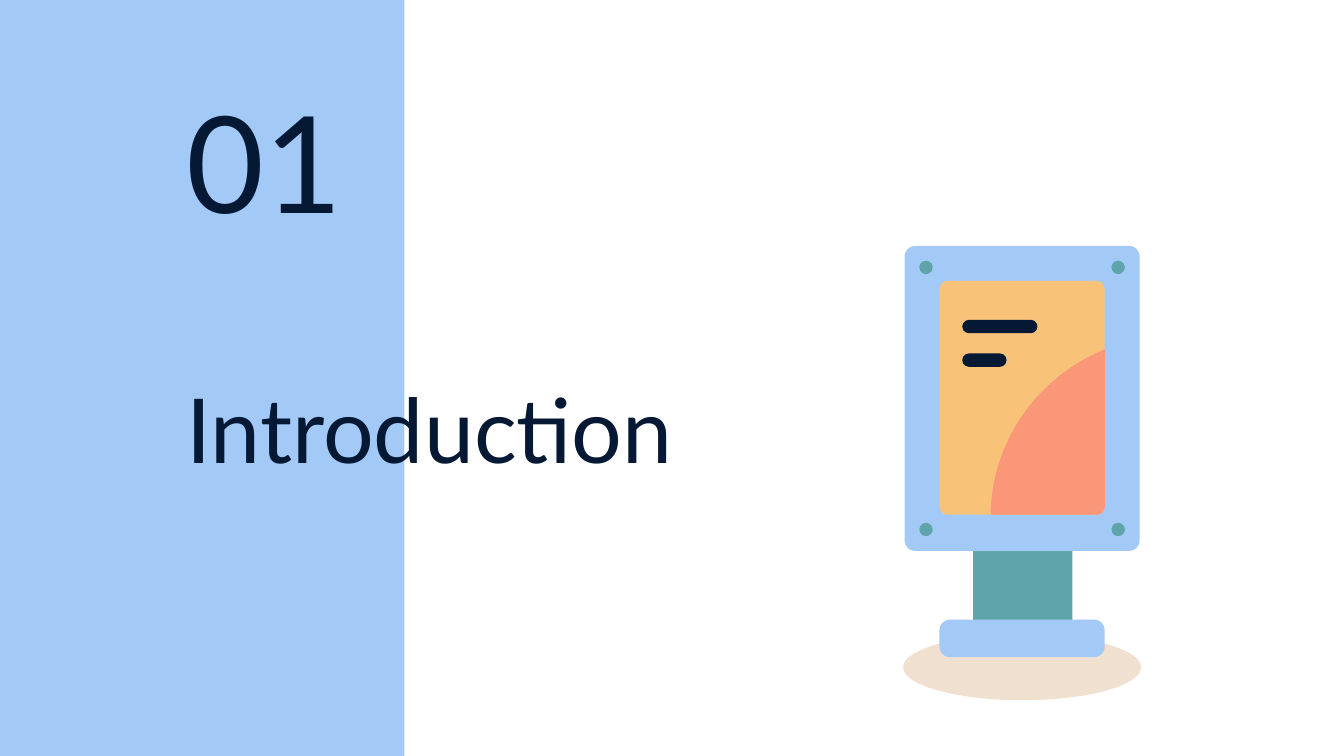
import pptx
import pptx.util
import pptx.dml.color
import pptx.enum.shapes
import pptx.enum.text
from lxml import etree

Inches = pptx.util.Inches
RGBColor = pptx.dml.color.RGBColor
SHAPE = pptx.enum.shapes.MSO_SHAPE
ANCHOR = pptx.enum.text.MSO_ANCHOR

BLUE = RGBColor(0xA3, 0xCA, 0xF7)
NAVY = RGBColor(0x05, 0x19, 0x34)
TEAL = RGBColor(0x5F, 0xA4, 0xAB)
AMBER = RGBColor(0xF8, 0xC3, 0x79)
CORAL = RGBColor(0xFA, 0x97, 0x78)
BROWN = RGBColor(0xB4, 0x5F, 0x06)

# text, box, size, anchor, line spacing
TEXTS = [
    ("Introduction", (1.29, 2.8, 4.24, 0.92), 48, ANCHOR.MIDDLE, 0.8),
    ("01", (1.29, 1.03, 2.75, 0.86), 72, ANCHOR.BOTTOM, 1.0),
]

# box, colour, corner radius
SIDE_PANEL = ((-0.02, -0.02, 3.03, 5.65), BLUE, 0)
SIGN_PARTS = [
    ((7.24, 3.9, 0.74, 0.76), TEAL, 0),
    ((6.73, 1.83, 1.75, 2.27), BLUE, 0.08),
    ((6.99, 2.09, 1.23, 1.74), AMBER, 0.06),
    ((6.99, 4.61, 1.23, 0.28), BLUE, 0.08),
    ((7.16, 2.38, 0.56, 0.1), NAVY, 0.05),
    ((7.16, 2.63, 0.33, 0.1), NAVY, 0.05),
]
GROUND_SHADOW = (6.72, 4.72, 1.77, 0.49)
GROUND_ALPHA = 19
SCREW_SIZE = 0.1
SCREW_LEFTS = (6.84, 8.27)
SCREW_TOPS = (1.94, 3.89)

# cubic curves that bound the coral area of the poster
POSTER_ARC = [(8.22, 2.6), (7.73, 2.8), (7.38, 3.27), (7.37, 3.83)]
POSTER_CORNER = [(8.16, 3.83), (8.19, 3.83), (8.22, 3.81), (8.22, 3.77)]


def paint(sp, color):
    sp.shadow.inherit = False
    sp.fill.solid()
    sp.fill.fore_color.rgb = color
    sp.line.fill.background()
    return sp


def add_block(slide, box, color, radius=0):
    kind = SHAPE.ROUNDED_RECTANGLE if radius else SHAPE.RECTANGLE
    sp = slide.shapes.add_shape(kind, *map(Inches, box))
    if radius:
        sp.adjustments[0] = radius / min(box[2:])
    return paint(sp, color)


def add_oval(slide, box, color):
    return paint(slide.shapes.add_shape(SHAPE.OVAL, *map(Inches, box)), color)


def set_alpha(sp, percent):
    ns = "http://schemas.openxmlformats.org/drawingml/2006/main"
    clr = sp.element.find(f".//{{{ns}}}solidFill/{{{ns}}}srgbClr")
    etree.SubElement(clr, f"{{{ns}}}alpha").set("val", str(percent * 1000))


def bezier(points, steps):
    """Return points along a cubic curve, in EMU."""
    curve = []
    for i in range(steps + 1):
        t = i / steps
        weights = ((1 - t) ** 3, 3 * t * (1 - t) ** 2, 3 * t * t * (1 - t), t ** 3)
        curve.append(tuple(Inches(sum(w * p[axis] for w, p in zip(weights, points)))
                           for axis in (0, 1)))
    return curve


def add_text(slide, text, box, size, anchor, spacing):
    tf = slide.shapes.add_textbox(*map(Inches, box)).text_frame
    tf.word_wrap = True
    tf.vertical_anchor = anchor
    tf.margin_left = tf.margin_right = tf.margin_top = tf.margin_bottom = Inches(0.1)
    p = tf.paragraphs[0]
    p.text = text
    p.line_spacing = spacing
    font = p.runs[0].font
    font.name = "Lato"
    font.size = pptx.util.Pt(size)
    font.color.rgb = NAVY


prs = pptx.Presentation()
prs.slide_width = Inches(10)
prs.slide_height = prs.slide_width * 9 // 16
slide = prs.slides.add_slide(prs.slide_layouts[6])

add_block(slide, *SIDE_PANEL)
set_alpha(add_oval(slide, GROUND_SHADOW, BROWN), GROUND_ALPHA)
for item in TEXTS:
    add_text(slide, *item)

for part in SIGN_PARTS:
    add_block(slide, *part)
for left in SCREW_LEFTS:
    for top in SCREW_TOPS:
        add_oval(slide, (left, top, SCREW_SIZE, SCREW_SIZE), TEAL)

outline = bezier(POSTER_ARC, 40) + bezier(POSTER_CORNER, 8)
builder = slide.shapes.build_freeform(*outline[0])
builder.add_line_segments(outline[1:], close=True)
paint(builder.convert_to_shape(), CORAL)

prs.save("out.pptx")
